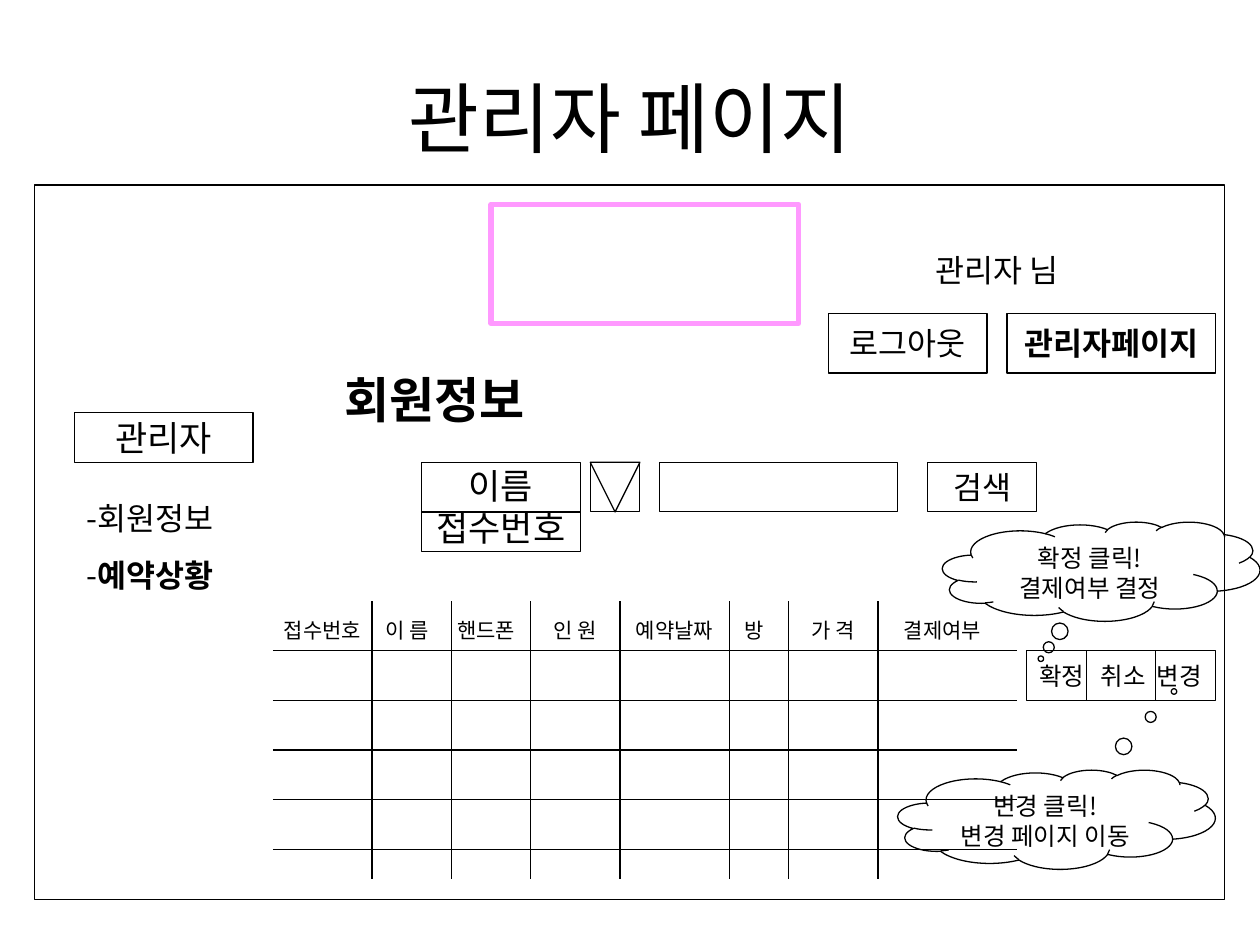
import dataclasses
import typing

import pptx
import pptx.dml.color
import pptx.enum.shapes
import pptx.enum.text
import pptx.oxml
import pptx.oxml.ns
import pptx.util

Cm = pptx.util.Cm
Kind = pptx.enum.shapes.MSO_SHAPE
Align = pptx.enum.text.PP_ALIGN
Anchor = pptx.enum.text.MSO_ANCHOR

FACE = "Noto Sans CJK KR"
HUES = {"ink": "000000", "pink": "FF99FF"}


@dataclasses.dataclass
class Box:
    left: float
    top: float
    width: float
    height: float
    lines: tuple = ()
    size: float = 18
    kind: typing.Any = Kind.RECTANGLE
    align: typing.Any = Align.CENTER
    anchor: typing.Any = Anchor.MIDDLE
    wrap: bool = False
    hue: str = "ink"
    line: float = 0.75
    gap: float = 0
    turn: float = 0
    tweaks: tuple = ()
    tabs: tuple = ()


def tint(name: str) -> pptx.dml.color.RGBColor:
    return pptx.dml.color.RGBColor.from_string(HUES[name])


def apply(target: typing.Any, values: dict) -> None:
    for key, value in values.items():
        setattr(target, key, value)


def add_tabs(para: typing.Any, stops: tuple) -> None:
    qn = pptx.oxml.ns.qn
    holder = para._p.get_or_add_pPr().makeelement(qn("a:tabLst"), {})
    para._p.get_or_add_pPr().append(holder)
    for stop in stops:
        mark = holder.makeelement(qn("a:tab"), {"pos": str(int(Cm(stop))), "algn": "l"})
        holder.append(mark)


def write(frame: typing.Any, box: Box) -> None:
    side = Cm(0.25)
    apply(frame, {
        "word_wrap": box.wrap,
        "vertical_anchor": box.anchor,
        "margin_left": side,
        "margin_right": 0 if box.tabs else side,
        "margin_top": Cm(0.13),
        "margin_bottom": Cm(0.13),
    })
    for row, line in enumerate(box.lines):
        para = frame.add_paragraph() if row else frame.paragraphs[0]
        para.alignment = box.align
        if row and box.gap:
            para.space_before = pptx.util.Pt(box.gap)
        if box.tabs:
            add_tabs(para, box.tabs)
        for part, text in enumerate(line.split("**")):
            if not text:
                continue
            run = para.add_run()
            run.text = text
            look = {"size": pptx.util.Pt(box.size), "name": FACE, "bold": part % 2 == 1}
            apply(run.font, look)
            run.font.color.rgb = tint(box.hue)
            east = run._r.get_or_add_rPr().makeelement(
                pptx.oxml.ns.qn("a:ea"), {"typeface": FACE})
            run._r.get_or_add_rPr().append(east)


def draw_box(slide: typing.Any, box: Box) -> None:
    shape = slide.shapes.add_shape(
        box.kind, Cm(box.left), Cm(box.top), Cm(box.width), Cm(box.height))
    shape.shadow.inherit = False
    shape.fill.background()
    shape.line.color.rgb = tint(box.hue)
    shape.line.width = pptx.util.Pt(box.line)
    shape.rotation = box.turn
    for index, value in enumerate(box.tweaks):
        shape.adjustments[index] = value
    if box.lines:
        write(shape.text_frame, box)


def draw_text(slide: typing.Any, box: Box) -> None:
    label = slide.shapes.add_textbox(
        Cm(box.left), Cm(box.top), Cm(box.width), Cm(box.height))
    write(label.text_frame, box)


def draw_line(slide: typing.Any, left: float, top: float,
              right: float, base: float) -> None:
    line = slide.shapes.add_connector(
        pptx.enum.shapes.MSO_CONNECTOR.STRAIGHT,
        Cm(left), Cm(top), Cm(right), Cm(base))
    line.line.color.rgb = tint("ink")
    line.line.width = pptx.util.Pt(0.75)
    props = line._element.spPr
    props.append(props.makeelement(pptx.oxml.ns.qn("a:effectLst"), {}))


PLAIN = {"wrap": True, "anchor": Anchor.TOP}
CLOUD = {"kind": Kind.CLOUD_CALLOUT, "size": 14, **PLAIN}

TEXTS = [
    Box(1.27, 0.76, 22.86, 3.18, ("관리자 페이지",), 44, wrap=True),
    Box(1.5, 9.93, 3.6, 2.18, ("-회원정보", "-**예약상황**"), align=Align.LEFT, gap=11.2, **PLAIN),
    Box(18.1, 4.93, 4, 1.02, ("관리자 님",), **PLAIN),
    Box(6.7, 7.32, 7, 1.45, ("**회원정보**",), 28, align=Align.LEFT, **PLAIN),
]

BOXES = [
    Box(0.69, 3.73, 24, 14.4),
    Box(9.9, 4.12, 6.2, 2.4, hue="pink", line=3),
    Box(1.5, 8.32, 3.6, 1, ("관리자",), 20),
    Box(16.7, 6.32, 3.2, 1.2, ("로그아웃",)),
    Box(20.3, 6.32, 4.2, 1.2, ("**관리자페이지**",)),
    Box(8.5, 9.32, 3.2, 1.8, ("이름", "접수번호"), 20),
    Box(11.9, 9.32, 1, 1),
    Box(11.9, 9.32, 1, 1, kind=Kind.ISOSCELES_TRIANGLE, turn=180),
    Box(13.3, 9.32, 4.8, 1),
    Box(18.7, 9.32, 2.2, 1, ("검색",)),
    Box(20.7, 13.12, 3.8, 1, ("확정\t취소\t변경",), 14, align=Align.LEFT, wrap=True,
        tabs=(1.24, 2.37)),
    Box(19, 10.52, 6.4, 2, ("확정 클릭!", "결제여부 결정"), tweaks=(-0.19, 0.88), **CLOUD),
    Box(18.1, 15.52, 6.4, 2, ("변경 클릭!", "변경 페이지 이동"), tweaks=(0.37, -1.29), **CLOUD),
]

HEADS = [
    ("접수번호", 5.3, 2.4), ("이 름", 7.3, 1.8), ("핸드폰", 8.9, 1.8),
    ("인 원", 10.7, 1.8), ("예약날짜", 12.3, 2.6), ("방", 14.3, 1.8),
    ("가 격", 15.9, 1.8), ("결제여부", 17.7, 2.6),
]
COLS = (7.5, 9.1, 10.7, 12.5, 14.7, 15.9, 17.7)


def draw_grid(slide: typing.Any) -> None:
    for row in range(5):
        draw_line(slide, 5.5, 13.12 + row, 20.5, 13.12 + row)
    for col in COLS:
        draw_line(slide, col, 12.12, col, 17.72)
    for text, left, width in HEADS:
        draw_text(slide, Box(left, 12.32, width, 0.76, (text,), 12, **PLAIN))


def main() -> None:
    deck = pptx.Presentation()
    apply(deck, {"slide_width": Cm(25.4), "slide_height": Cm(19.05)})
    slide = deck.slides.add_slide(deck.slide_layouts[6])
    for box in TEXTS:
        draw_text(slide, box)
    draw_grid(slide)
    for box in BOXES:
        draw_box(slide, box)
    draw_line(slide, 8.5, 10.32, 11.7, 10.32)
    for left in (21.9, 23.3):
        draw_line(slide, left, 13.12, left, 14.12)
    deck.save("out.pptx")


if __name__ == "__main__":
    main()
